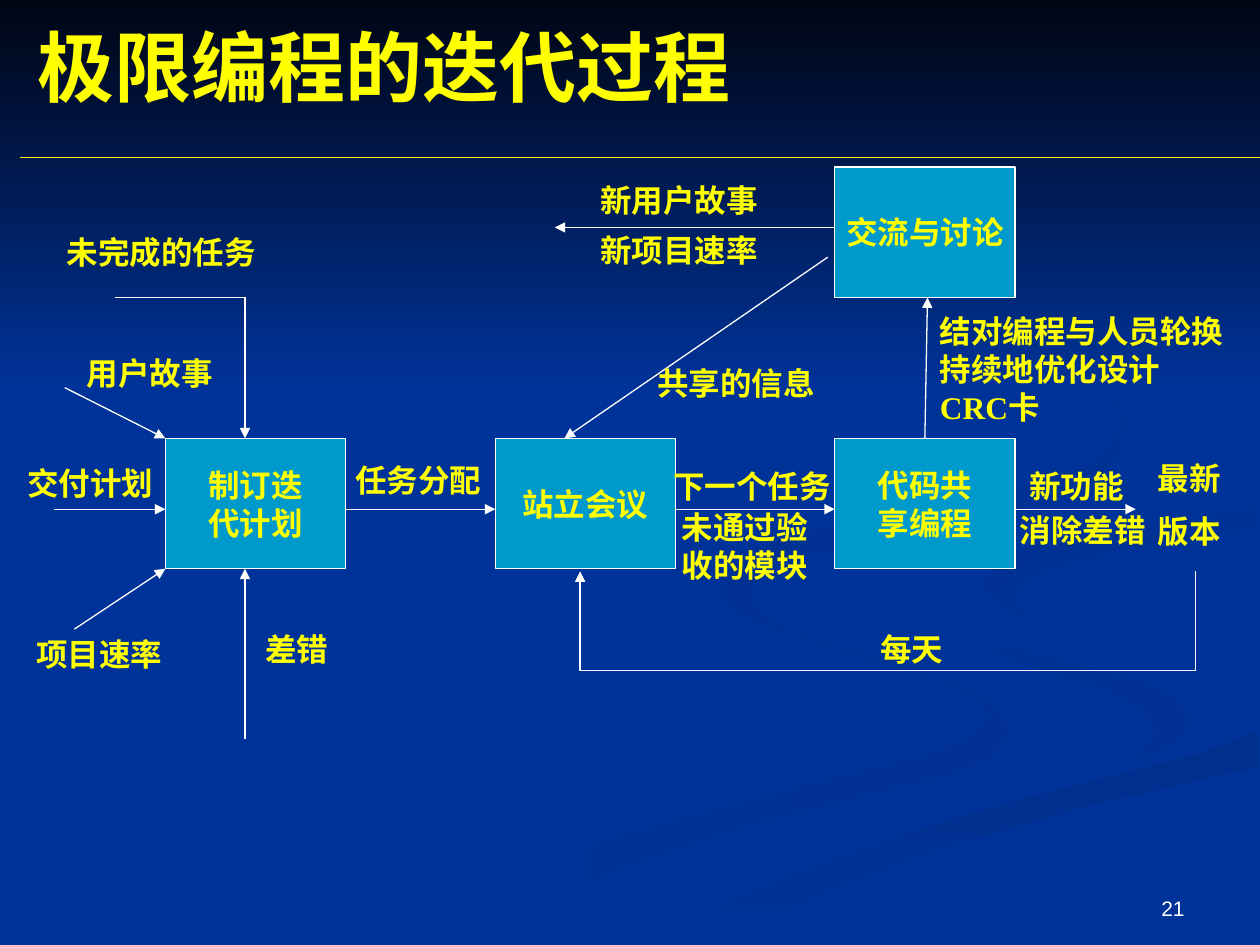
from lxml import etree
from pptx import Presentation
from pptx.dml.color import RGBColor
from pptx.enum.shapes import MSO_CONNECTOR, MSO_SHAPE
from pptx.enum.text import MSO_ANCHOR, PP_ALIGN
from pptx.oxml.ns import qn
from pptx.util import Pt

RECT, LINE = MSO_SHAPE.RECTANGLE, MSO_CONNECTOR.STRAIGHT
TOP, MID, BASE = MSO_ANCHOR.TOP, MSO_ANCHOR.MIDDLE, MSO_ANCHOR.BOTTOM
LEFT, CENTER, RIGHT = PP_ALIGN.LEFT, PP_ALIGN.CENTER, PP_ALIGN.RIGHT

THEME = {
    "back": "003399", "box": "0099CC", "line": "FFFFFF", "rule": "FFFF00",
    "width": 0.75,
    "title": {"name": "Times New Roman", "size": 44, "bold": True, "color": "FFFF00"},
    "label": {"name": "Times New Roman", "size": 18, "bold": True, "color": "FFFF00"},
    "page": {"name": "Arial", "size": 12, "bold": False, "color": "FFFFFF"},
}

TITLE = "极限编程的迭代过程"
PAGE = "21"

BOX_W, BOX_H = 103, 74.5
ROW, HIGH = 250.5, 95.5
FOOT, FLOW = ROW + BOX_H, 291
PLAN, MEET, CODE = 94.5, 283, 477
FEED = 140

BOXES = [
    (["制订迭", "代计划"], PLAN, ROW),
    (["站立会议"], MEET, ROW),
    (["代码共", "享编程"], CODE, ROW),
    (["交流与讨论"], CODE, HIGH),
]

ARROWS = [
    (PLAN + BOX_W, FLOW, MEET, FLOW),
    (MEET + BOX_W, FLOW, CODE, FLOW),
    (CODE + BOX_W, FLOW, 649, FLOW),
    (FEED, 422.5, FEED, FOOT),
    (37, 221.5, PLAN, ROW),
    (31, FLOW, PLAN, FLOW),
    (42.5, 359.5, PLAN, FOOT),
    (FEED, 170, FEED, ROW),
    (473, 147, 322.5, ROW),
    (CODE, 130, 317, 130),
    (528.5, ROW, 530, HIGH + BOX_H),
]
STEM = (65.5, 170, FEED, 170)
RULE = (11.5, 90, 720, 90)
LOOP = [(683, 326.5), (683, 383), (331.5, 383), (331.5, 326.5)]

LABELS = [
    (["未完成的任务"], 31, 129.5, 154, 29),
    (["用户故事"], 42.5, 198.5, 154, 29),
    (["交付计划"], 8.5, 261.5, 97, 29),
    (["项目速率"], 13.5, 359.5, 154, 29),
    (["任务分配"], 196, 260, 95, 29),
    (["下一个任务"], 377.5, 263.5, 120, 29),
    (["未通过验收的模块"], 382.5, 287, 91.5, 51),
    (["差错"], 144.5, 356.5, 55, 29),
    (["共享的信息"], 368.5, 204.5, 154, 29),
    (["新用户故事"], 336, 100, 129, 29),
    (["新项目速率"], 336, 128.5, 129, 29),
    (["新功能"], 581, 263.5, 75, 29),
    (["最新", "版本"], 654.5, 258.5, 57.5, 61, 9),
    (["结对编程与人员轮换", "持续地优化设计", "CRC卡"], 530, 175, 179, 73),
    (["消除差错"], 575.5, 288.5, 90.5, 29),
    (["每天"], 496, 356.5, 55, 29),
]

WAVES = [
    ("003399", "003193", 0, [
        (562, 398), (545, 391), (515, 380), (476, 369), (451, 361), (428, 349),
        (417, 341), (414, 330), (410, 338), (418, 348), (433, 356), (471, 369),
        (502, 378), (534, 388), (559, 398), (566, 408), (557, 420), (532, 431),
        (492, 441), (417, 460), (359, 476), (300, 497), (243, 523), (216, 539),
        (260, 539), (310, 514), (359, 495), (428, 472), (487, 456), (544, 442),
        (566, 433), (576, 418), (572, 408)]),
    ("003399", "003193", 45, [
        (679, 410), (670, 398), (652, 389), (626, 382), (584, 371), (546, 359),
        (528, 348), (521, 334), (523, 345), (537, 360), (562, 373), (603, 386),
        (634, 395), (653, 405), (661, 418), (653, 430), (644, 436), (666, 427),
        (678, 418)]),
    ("002F8C", "003399", 90, [
        (362, 539), (411, 539), (442, 523), (482, 505), (541, 484), (620, 461),
        (719, 438), (719, 418), (684, 431), (624, 446), (550, 466), (454, 499),
        (410, 518), (374, 538)]),
    ("003091", "003399", 45, [
        (562, 331), (566, 341), (580, 351), (595, 357), (582, 348), (580, 340),
        (588, 330), (607, 323), (645, 313), (719, 302), (719, 289), (672, 299),
        (623, 305), (591, 312), (570, 322)]),
    ("002F8E", "003399", 45, [
        (549, 168), (580, 183), (609, 201), (631, 220), (639, 236), (638, 250),
        (626, 263), (606, 272), (570, 282), (507, 294), (450, 307), (424, 318),
        (415, 333), (422, 348), (448, 360), (433, 349), (427, 338), (433, 328),
        (449, 320), (492, 310), (550, 300), (594, 289), (624, 277), (640, 261),
        (643, 241), (634, 221), (615, 204), (583, 184)]),
    ("000514", "003399", 90, [(0, 0), (720, 0), (720, 222), (0, 222)]),
]


def rgb(code):
    return RGBColor.from_string(code)


def place(shape, *area):
    for key, val in zip(("left", "top", "width", "height"), area):
        setattr(shape, key, Pt(val))


def write(shape, rows, style, anchor=TOP, align=LEFT, wrap=True, gap=0):
    frame = shape.text_frame
    frame.word_wrap, frame.vertical_anchor = wrap, anchor
    look = THEME[style]
    for i, row in enumerate(rows):
        para = frame.paragraphs[0] if i == 0 else frame.add_paragraph()
        para.alignment = align
        para.space_before = Pt(gap if i else 0)
        run = para.add_run()
        run.text = row
        for key in ("name", "bold"):
            setattr(run.font, key, look[key])
        run.font.size = Pt(look["size"])
        run.font.color.rgb = rgb(look["color"])


def stroke(shape, color="line", head=False):
    shape.line.color.rgb = rgb(THEME[color])
    shape.line.width = Pt(THEME["width"])
    if head:
        tip = etree.SubElement(shape.line._get_or_add_ln(), qn("a:tailEnd"))
        tip.set("type", "triangle")


def link(shapes, ends, color="line", head=False):
    line = shapes.add_connector(LINE, *map(Pt, ends))
    stroke(line, color, head)
    etree.SubElement(line._element.spPr, qn("a:effectLst"))


def trace(shapes, dots, close):
    dots = [(Pt(x), Pt(y)) for x, y in dots]
    pen = shapes.build_freeform(*dots[0])
    pen.add_line_segments(dots[1:], close=close)
    shape = pen.convert_to_shape()
    shape.shadow.inherit = False
    return shape


def wave(shapes, first, last, angle, dots):
    shape = trace(shapes, dots, True)
    shape.line.fill.background()
    shape.fill.gradient()
    shape.fill.gradient_angle = (360 - angle) % 360
    for stop, code, pos in zip(shape.fill.gradient_stops, (first, last), (0, 1)):
        stop.color.rgb, stop.position = rgb(code), pos


def main():
    deck = Presentation()
    deck.slide_width, deck.slide_height = Pt(720), Pt(540)
    slide = deck.slides.add_slide(deck.slide_layouts[5])
    shapes = slide.shapes
    slide.background.fill.solid()
    slide.background.fill.fore_color.rgb = rgb(THEME["back"])

    for item in WAVES:
        wave(shapes, *item)

    title = shapes.title
    shapes._spTree.append(title._element)
    place(title, 14.5, 10, 686, 55.5)
    write(title, [TITLE], "title", MID)
    link(shapes, RULE, "rule")

    for rows, x, y in BOXES:
        box = shapes.add_shape(RECT, *map(Pt, (x, y, BOX_W, BOX_H)))
        box.shadow.inherit = False
        box.fill.solid()
        box.fill.fore_color.rgb = rgb(THEME["box"])
        stroke(box)
        write(box, rows, "label", MID, CENTER, False)

    link(shapes, STEM)
    for ends in ARROWS:
        link(shapes, ends, head=True)
    loop = trace(shapes, LOOP, False)
    loop.fill.background()
    stroke(loop, head=True)

    for rows, x, y, w, h, *gap in LABELS:
        note = shapes.add_textbox(*map(Pt, (x, y, w, h)))
        write(note, rows, "label", gap=sum(gap))

    page = shapes.add_textbox(*map(Pt, (516, 492, 168, 37.5)))
    write(page, [PAGE], "page", BASE, RIGHT)
    deck.save("out.pptx")


if __name__ == "__main__":
    main()
